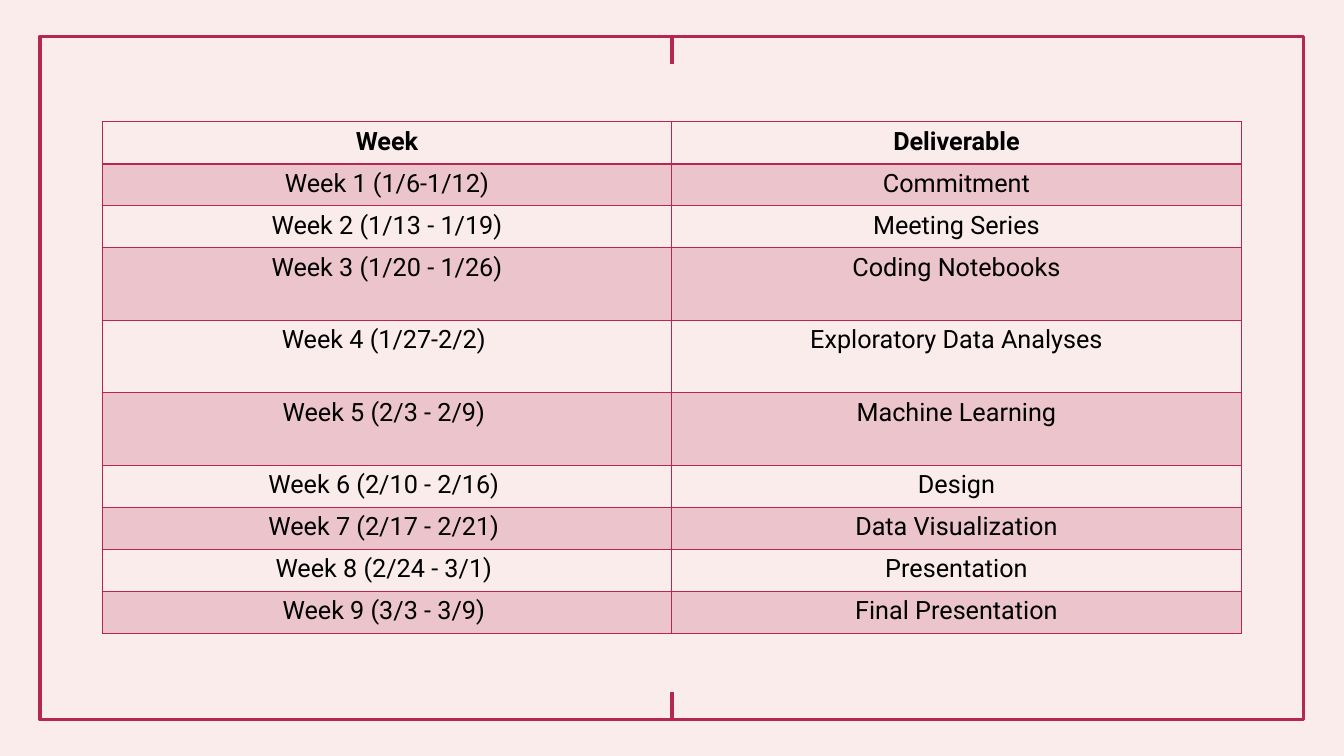
from lxml.etree import SubElement
from pptx import Presentation
from pptx.dml.color import RGBColor
from pptx.enum.shapes import MSO_CONNECTOR, MSO_SHAPE
from pptx.enum.text import PP_ALIGN
from pptx.oxml.ns import qn
from pptx.util import Pt

COLORS = {"background": "FAECEB", "crimson": "B32752", "text": "000000"}
FONT = "Roboto"
BAND_OPACITY = 20  # percent
SHORT_ROW, TALL_ROW = 30, 51.8
TALL_WEEKS = (3, 4, 5)

SCHEDULE = [
    ("Week", "Deliverable"),
    ("Week 1 (1/6-1/12)", "Commitment"),
    ("Week 2 (1/13 - 1/19)", "Meeting Series"),
    ("Week 3 (1/20 - 1/26)", "Coding Notebooks"),
    ("Week 4 (1/27-2/2) ", "Exploratory Data Analyses"),
    ("Week 5 (2/3 - 2/9) ", "Machine Learning"),
    ("Week 6 (2/10 - 2/16) ", "Design"),
    ("Week 7 (2/17 - 2/21) ", "Data Visualization"),
    ("Week 8 (2/24 - 3/1) ", "Presentation"),
    ("Week 9 (3/3 - 3/9) ", "Final Presentation"),
]


def color(name):
    return RGBColor.from_string(COLORS[name])


def style_line(line):
    line.color.rgb = color("crimson")
    line.width = Pt(2.25)


def add_frame(slide, left, top, width, height, tick=19.5):
    # Border
    border = slide.shapes.add_shape(
        MSO_SHAPE.RECTANGLE, Pt(left), Pt(top), Pt(width), Pt(height))
    border.shadow.inherit = False
    border.fill.background()
    style_line(border.line)

    # Ticks pointing inward from the middle of the top and bottom edges
    middle, bottom = left + width / 2, top + height
    for edge, inner in ((top, top + tick), (bottom, bottom - tick)):
        mark = slide.shapes.add_connector(
            MSO_CONNECTOR.STRAIGHT, Pt(middle), Pt(edge), Pt(middle), Pt(inner))
        style_line(mark.line)
        SubElement(mark._element.spPr, qn("a:effectLst"))


def set_borders(cell, bottom_width):
    properties = cell._tc.get_or_add_tcPr()
    widths = {"a:lnL": 1, "a:lnR": 1, "a:lnT": 1, "a:lnB": bottom_width}
    for position, (side, width) in enumerate(widths.items()):
        border = SubElement(properties, qn(side), w=str(Pt(width)))
        fill = SubElement(border, qn("a:solidFill"))
        SubElement(fill, qn("a:srgbClr"), val=COLORS["crimson"])
        properties.insert(position, border)  # borders precede the fill


def fill_cell(cell, banded):
    if not banded:
        cell.fill.background()
        return
    cell.fill.solid()
    cell.fill.fore_color.rgb = color("crimson")
    tint = cell._tc.tcPr.find(qn("a:solidFill")).find(qn("a:srgbClr"))
    SubElement(tint, qn("a:alpha"), val=str(BAND_OPACITY * 1000))


def write_cell(cell, text, bold):
    cell.text = text
    paragraph = cell.text_frame.paragraphs[0]
    paragraph.alignment = PP_ALIGN.CENTER
    paragraph.font.name = FONT
    paragraph.font.size = Pt(18)
    paragraph.font.bold = bold
    paragraph.font.color.rgb = color("text")


def add_schedule(slide, left, top, width):
    heights = [TALL_ROW if week in TALL_WEEKS else SHORT_ROW
               for week in range(len(SCHEDULE))]
    schedule = slide.shapes.add_table(
        len(SCHEDULE), 2, Pt(left), Pt(top), Pt(width), Pt(sum(heights))).table
    schedule.horz_banding = False
    for column in schedule.columns:
        column.width = Pt(width / 2)

    # Row 0 is the header; odd weeks are tinted
    for week, entries in enumerate(SCHEDULE):
        schedule.rows[week].height = Pt(heights[week])
        for column, text in enumerate(entries):
            cell = schedule.cell(week, column)
            write_cell(cell, text, bold=week == 0)
            fill_cell(cell, banded=week % 2 == 1)
            set_borders(cell, bottom_width=2 if week == 0 else 1)
            if week == 1:  # shares the header's heavier rule
                cell._tc.tcPr.find(qn("a:lnT")).set("w", str(Pt(2)))


def main():
    presentation = Presentation()
    presentation.slide_width = Pt(960)
    presentation.slide_height = Pt(540)
    slide = presentation.slides.add_slide(presentation.slide_layouts[6])
    slide.background.fill.solid()
    slide.background.fill.fore_color.rgb = color("background")

    add_frame(slide, 28.6, 25.9, 902.8, 488.2)
    add_schedule(slide, 73, 87, 813.6)
    presentation.save("out.pptx")


if __name__ == "__main__":
    main()
